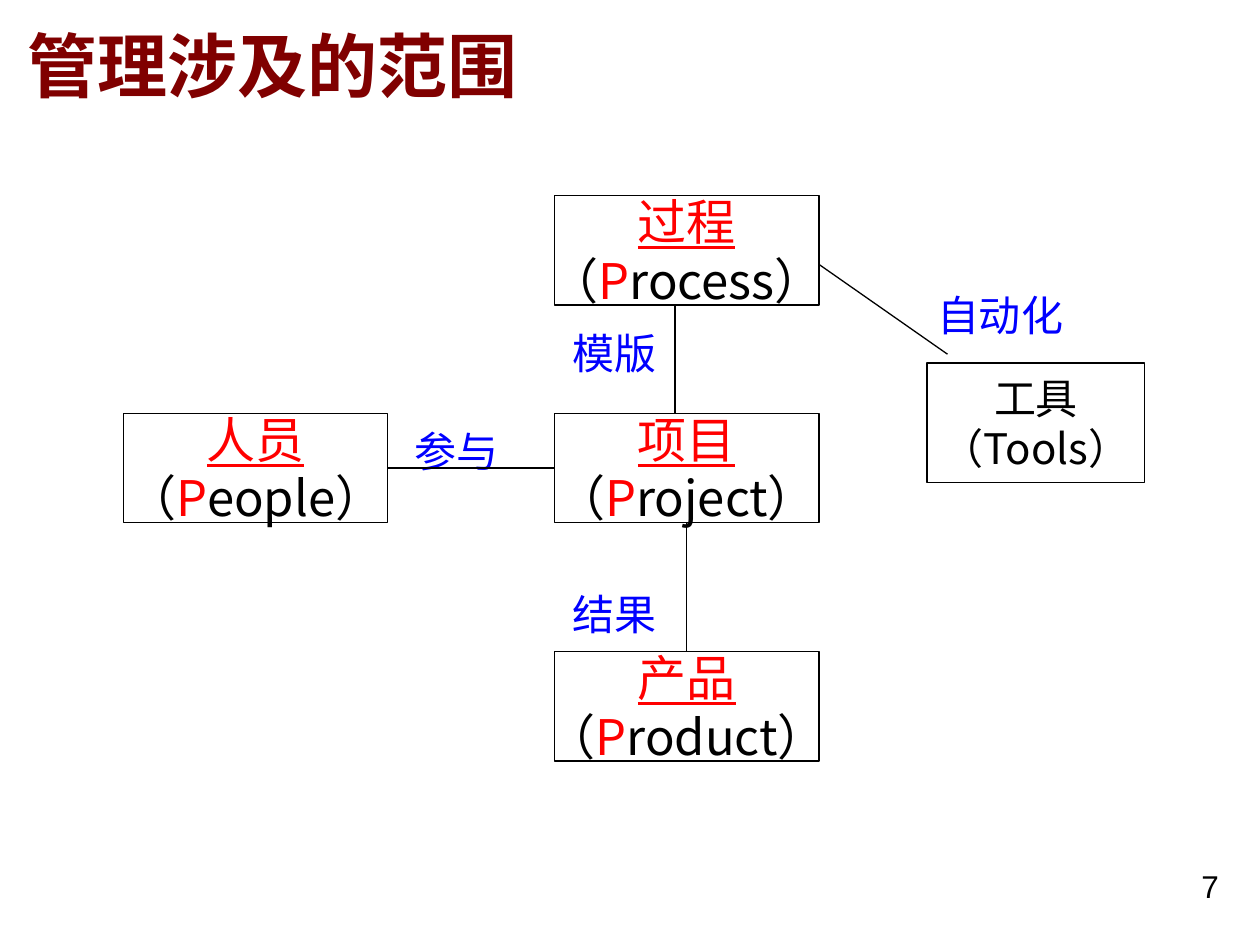
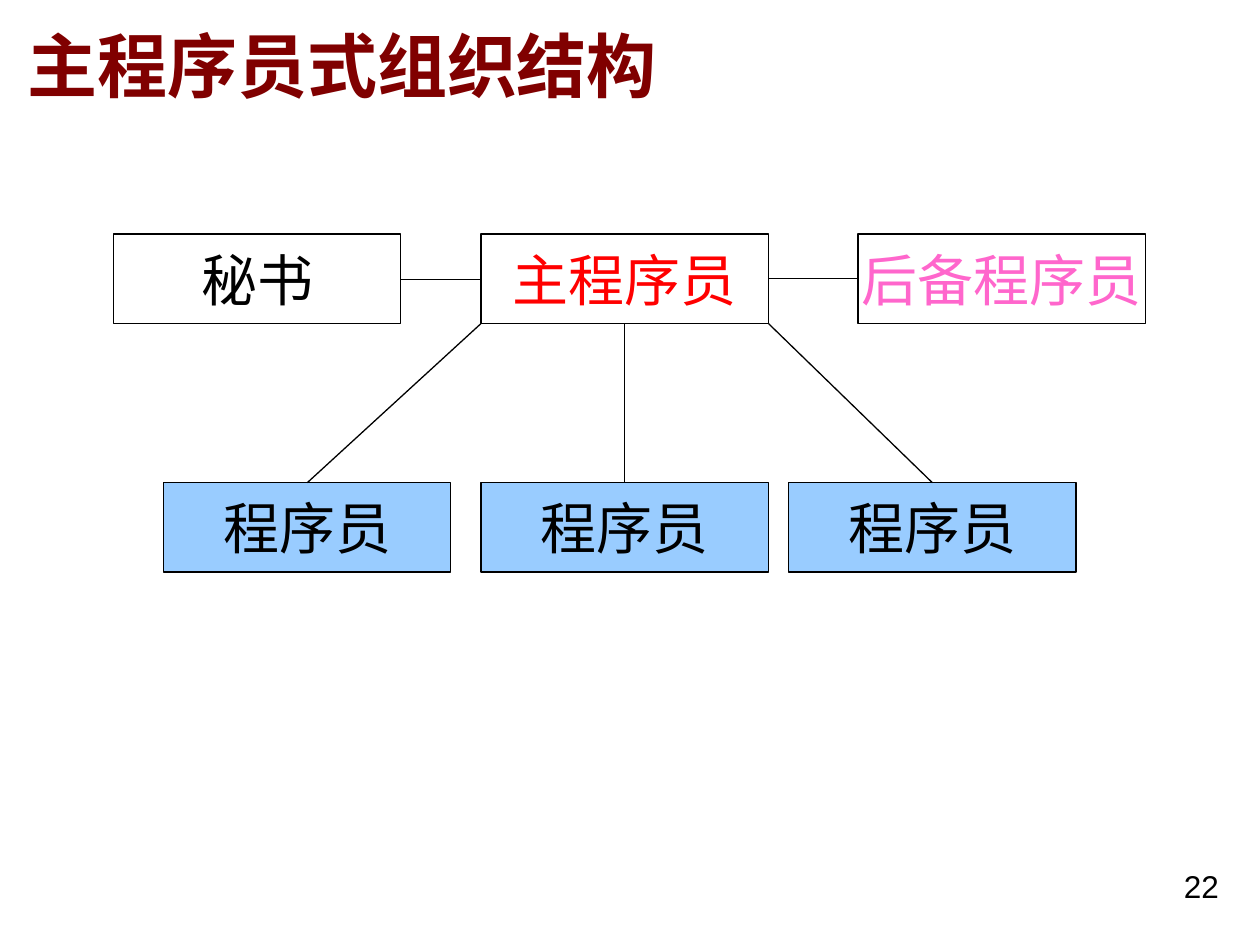
from pptx import Presentation
from pptx.dml.color import RGBColor
from pptx.enum.shapes import MSO_CONNECTOR as Connector, MSO_SHAPE as Shape
from pptx.enum.text import MSO_ANCHOR as Anchor, MSO_AUTO_SIZE as AutoSize, PP_ALIGN as Align
from pptx.oxml.ns import qn
from pptx.util import Cm, Pt
from lxml.etree import SubElement

BLACK = RGBColor(0x00, 0x00, 0x00)
MAROON = RGBColor(0x80, 0x00, 0x00)
RED = RGBColor(0xFF, 0x00, 0x00)
BLUE = RGBColor(0x00, 0x00, 0xFF)
PINK = RGBColor(0xFF, 0x66, 0xCC)
SKY = RGBColor(0x99, 0xCC, 0xFF)

SERIF, SANS, CJK = "Times New Roman", "Arial", "Noto Sans CJK SC"
TOP, LEFT, BOTTOM, RIGHT = range(4)
TITLE_ONLY = 5


def add_span(para, text, size=24, font=SERIF, color=BLACK, bold=False, underline=False):
    span = para.add_run()
    span.text = text
    style = span.font
    style.size, style.name, style.bold, style.underline = Pt(size), font, bold, underline
    style.color.rgb = color
    if font != SANS:
        east_asian = SubElement(span._r.get_or_add_rPr(), qn("a:ea"))
        east_asian.set("typeface", CJK)


class Pages:
    """Holds the deck, its shared style and the current page."""

    def __init__(self):
        self.deck = Presentation()
        self.deck.slide_width, self.deck.slide_height = Cm(25.4), Cm(19.05)
        self.page = None

    def start(self, title, number):
        self.page = self.deck.slides.add_slide(self.deck.slide_layouts[TITLE_ONLY])
        box = self.page.shapes.title
        box.left, box.top, box.width, box.height = Cm(0.3), Cm(0.33), Cm(22.86), Cm(1.96)
        frame = box.text_frame
        frame.auto_size, frame.vertical_anchor = AutoSize.NONE, Anchor.MIDDLE
        frame.paragraphs[0].alignment = Align.LEFT
        add_span(frame.paragraphs[0], title, size=40, color=MAROON, bold=True)
        self.label(str(number), 18.9, 17.35, 5.92, align=Align.RIGHT,
                   size=18, font=SANS)

    def label(self, text, left, top, width, align=Align.LEFT, **style):
        box = self.page.shapes.add_textbox(Cm(left), Cm(top), Cm(width), Cm(1.27))
        box.text_frame.word_wrap = True
        para = box.text_frame.paragraphs[0]
        para.alignment = align
        add_span(para, text, **style)

    def box(self, lines, left, top, width, height, fill=None):
        """Each line is a list of (text, style) spans."""
        box = self.page.shapes.add_shape(
            Shape.RECTANGLE, Cm(left), Cm(top), Cm(width), Cm(height))
        box.shadow.inherit = False
        box.line.color.rgb, box.line.width = BLACK, Pt(0.75)
        if fill is None:
            box.fill.background()
        else:
            box.fill.solid()
            box.fill.fore_color.rgb = fill
        frame = box.text_frame
        frame.word_wrap, frame.vertical_anchor = False, Anchor.MIDDLE
        for index, spans in enumerate(lines):
            para = frame.add_paragraph() if index else frame.paragraphs[0]
            para.alignment = Align.CENTER
            for text, style in spans:
                add_span(para, text, **style)
        return box

    def line(self, start, end, width=0.75):
        """Each end is either (box, side) to join or a plain (x, y) point."""
        joins = [isinstance(side, int) and hasattr(target, "shape_type")
                 for target, side in (start, end)]
        begin_at = (0, 0) if joins[0] else start
        end_at = (0, 0) if joins[1] else end
        line = self.page.shapes.add_connector(Connector.STRAIGHT, *begin_at, *end_at)
        if joins[0]:
            line.begin_connect(*start)
        if joins[1]:
            line.end_connect(*end)
        line.line.color.rgb, line.line.width = BLACK, Pt(width)
        SubElement(line._element.spPr, qn("a:effectLst"))


def management_scope(pages):
    pages.start("管理涉及的范围", 7)

    # Labels on the relations
    for text, left, top, width in (("模版", 11.3, 6.48, 3.2), ("结果", 11.3, 11.73, 2.59),
                                   ("参与", 8.1, 8.46, 3.02), ("自动化", 18.64, 5.72, 3.07)):
        pages.label(text, left, top, width, color=BLUE)

    # The four P boxes
    def p_box(name, rest, left, top):
        plain = dict(size=28, font=CJK)
        red = dict(plain, color=RED)
        lines = [[(name, dict(red, underline=True))],
                 [("（", plain), ("P", red), (rest + "）", plain)]]
        return pages.box(lines, left, top, 5.33, 2.21)

    process = p_box("过程", "rocess", 11.18, 3.94)
    people = p_box("人员", "eople", 2.49, 8.33)
    project = p_box("项目", "roject", 11.18, 8.33)
    product = p_box("产品", "roduct", 11.18, 13.13)

    # Tools
    pages.box([[(text, dict(font=CJK))] for text in ("工具", "（Tools）")],
              18.69, 7.32, 4.39, 2.41)

    # Relations
    pages.line((Cm(13.61), process.top + process.height), (Cm(13.61), project.top))
    pages.line((people, RIGHT), (project, LEFT))
    pages.line((project, BOTTOM), (product, TOP))
    pages.line((process.left + process.width, Cm(5.33)), (Cm(19.1), Cm(7.14)))


def chief_programmer_team(pages):
    pages.start("主程序员式组织结构", 22)

    def role(name, left, top, color=BLACK, fill=None):
        return pages.box([[(name, dict(size=32, color=color))]], left, top, 5.79, 1.8, fill)

    # Leading row and programmers
    upper, lower = 4.72, 9.73
    chief = role("主程序员", 9.7, upper, color=RED)
    team = [role("程序员", left, lower, fill=SKY) for left in (3.3, 9.7, 15.9)]
    secretary = role("秘书", 2.29, upper)
    backup = role("后备程序员", 17.3, upper, color=PINK)

    # Links from the chief
    bottom = chief.top + chief.height
    pages.line((secretary, RIGHT), (chief, LEFT), width=0.25)
    pages.line((chief, RIGHT), (backup, LEFT))
    starts = ((chief.left, bottom), (chief, BOTTOM), (chief.left + chief.width, bottom))
    for start, programmer in zip(starts, team):
        pages.line(start, (programmer, TOP))


def main():
    pages = Pages()
    management_scope(pages)
    chief_programmer_team(pages)
    pages.deck.save("out.pptx")


if __name__ == "__main__":
    main()
